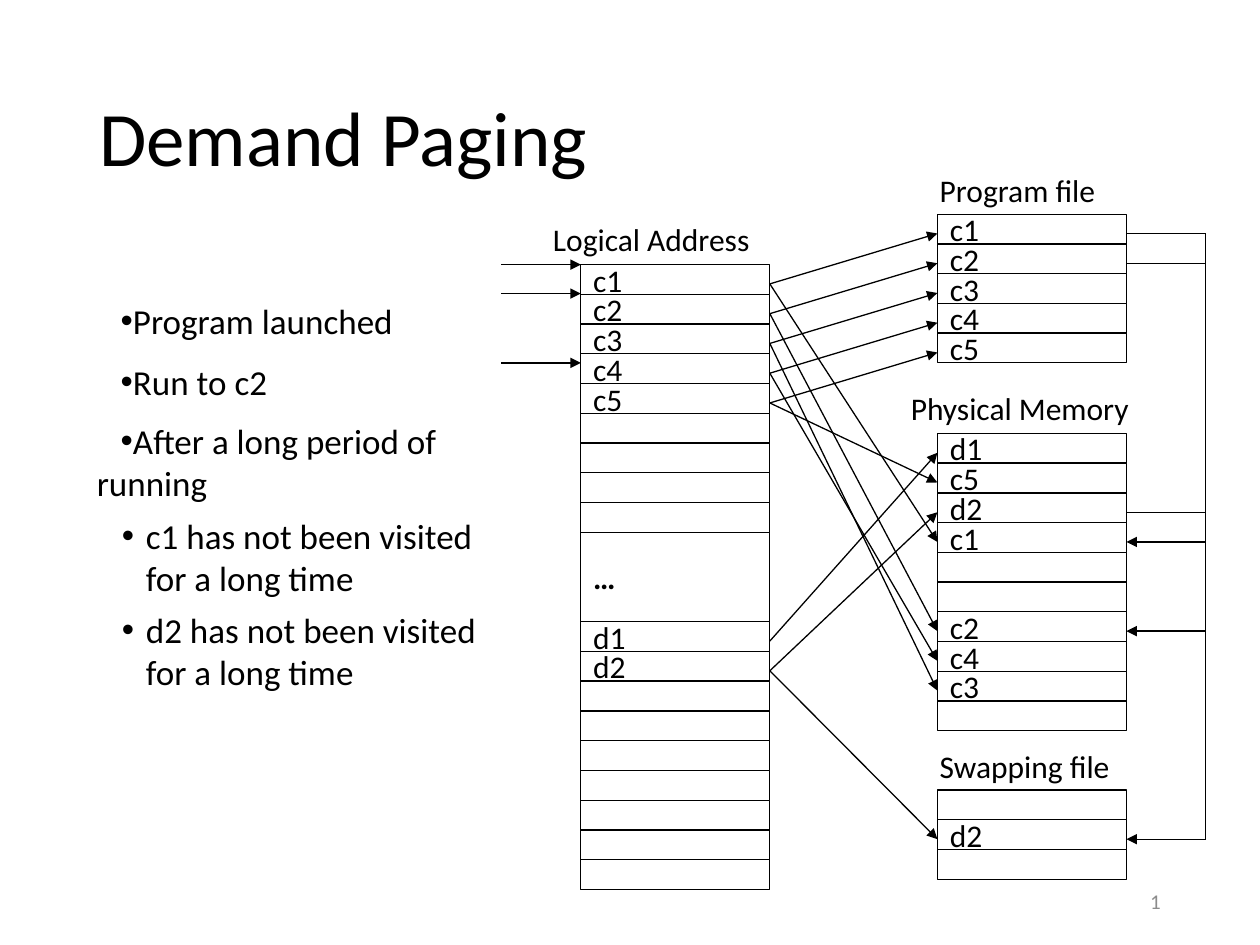
from dataclasses import dataclass

from lxml import etree
from pptx import Presentation
from pptx import util as u
from pptx.dml.color import RGBColor
from pptx.enum import shapes, text
from pptx.oxml.ns import qn


@dataclass(frozen=True)
class Theme:
    font: str = "Calibri"
    ink: RGBColor = RGBColor(0, 0, 0)
    paper: RGBColor = RGBColor(255, 255, 255)
    muted: RGBColor = RGBColor(0x8C, 0x8C, 0x8C)
    title: int = 44
    body: int = 20
    label: int = 18
    number: int = 12
    stroke: float = 0.75


THEME = Theme()
LINK_LEVEL = 0.65  # how far down a row its links attach
BUS_X = 9.57


def apply(target, values):
    for name, value in values.items():
        setattr(target, name, value)


def inches(*lengths):
    return [u.Inches(length) for length in lengths]


def write(para, words, size, color=THEME.ink, bold=False):
    span = para.add_run()
    span.text = words
    apply(span.font, {"name": THEME.font, "size": u.Pt(size), "bold": bold})
    span.font.color.rgb = color


def add_text(page, box, words, size, color=THEME.ink, anchor=text.MSO_ANCHOR.TOP, **para_format):
    frame = page.shapes.add_textbox(*inches(*box)).text_frame
    apply(frame, {"word_wrap": True, "vertical_anchor": anchor})
    para = frame.paragraphs[0]
    apply(para, para_format)
    write(para, words, size, color)


def add_bullets(page, box, items):
    """Write (level, words) items; level 0 has a first-line indent, level 1 a hanging one."""
    indents = [(0, 0.19), (0.39, -0.19)]
    frame = page.shapes.add_textbox(*inches(*box)).text_frame
    frame.word_wrap = True
    for index, (level, words) in enumerate(items):
        para = frame.add_paragraph() if index else frame.paragraphs[0]
        apply(para, {"level": level, "space_before": u.Pt(6)})
        props = para._p.get_or_add_pPr()
        for name, length in zip(("marL", "indent"), indents[level]):
            props.set(name, str(u.Inches(length)))
        etree.SubElement(props, qn("a:buFont")).set("typeface", "Arial")
        etree.SubElement(props, qn("a:buChar")).set("char", "•")
        write(para, words, THEME.body)


def add_line(page, start, end, arrow=True):
    line = page.shapes.add_connector(shapes.MSO_CONNECTOR.STRAIGHT, *inches(*start, *end))
    line.line.width = u.Pt(THEME.stroke)
    line.line.color.rgb = THEME.ink
    if arrow:
        etree.SubElement(line.line._get_or_add_ln(), qn("a:tailEnd")).set("type", "triangle")
    etree.SubElement(line._element.spPr, qn("a:effectLst"))


def add_cell(page, box, words):
    cell = page.shapes.add_shape(shapes.MSO_SHAPE.RECTANGLE, *inches(*box))
    cell.shadow.inherit = False
    cell.fill.solid()
    cell.fill.fore_color.rgb = THEME.paper
    cell.line.color.rgb = THEME.ink
    cell.line.width = u.Pt(THEME.stroke)
    if words:
        frame = cell.text_frame
        apply(frame, {"word_wrap": False, "vertical_anchor": text.MSO_ANCHOR.MIDDLE})
        frame.paragraphs[0].alignment = text.PP_ALIGN.LEFT
        write(frame.paragraphs[0], words, THEME.label, bold=words == "…")


def add_stack(page, box, labels, caption, caption_box):
    """Fill the box with rows, the ellipsis three rows tall; return link heights by label."""
    left, top, width, height = box
    spans = [3 if label == "…" else 1 for label in labels]
    row = height / sum(spans)
    links = {}
    for label, span in zip(labels, spans):
        add_cell(page, (left, top, width, row * span), label)
        if label:
            links[label] = top + row * LINK_LEVEL
        top += row * span
    add_text(page, caption_box, caption, THEME.label)
    return links


def add_loop(page, x, start_y, end_y):
    """Lead from x out to the bus and back, with an arrowhead at the end."""
    add_line(page, (x, start_y), (BUS_X, start_y), arrow=False)
    add_line(page, (BUS_X, start_y), (BUS_X, end_y), arrow=False)
    add_line(page, (BUS_X, end_y), (x, end_y))


def add_notes_column(page, left, width):
    add_bullets(page, (left, 2.33, width, 0.44), [(0, "Program launched")])
    add_bullets(page, (left, 2.81, width, 0.44), [(0, "Run to c2")])
    add_bullets(page, (left, 3.28, width, 2.29), [
        (0, "After a long period of running"),
        (1, "c1 has not been visited for a long time"),
        (1, "d2 has not been visited for a long time"),
    ])


def add_diagram(page, logical_x, store_x, width):
    code = ["c1", "c2", "c3", "c4", "c5"]
    logical = add_stack(page, (logical_x, 2.1, width, 4.96),
                        code + [""] * 4 + ["…", "d1", "d2"] + [""] * 7,
                        "Logical Address", (4.29, 1.7, 2.12, 0.4))
    program = add_stack(page, (store_x, 1.7, width, 1.18), code,
                        "Program file", (7.36, 1.31, 1.65, 0.4))
    memory = add_stack(page, (store_x, 3.44, width, 2.36),
                       ["d1", "c5", "d2", "c1", "", "", "c2", "c4", "c3", ""],
                       "Physical Memory", (7.13, 3.04, 2.12, 0.4))
    swap = add_stack(page, (store_x, 6.27, width, 0.71), ["", "d2", ""],
                     "Swapping file", (7.36, 5.88, 1.65, 0.4))

    for store in (program, memory, swap):
        for label, y in store.items():
            add_line(page, (logical_x + width, logical[label]), (store_x, y))
    for start_y, end_y in ((program["c1"], memory["c1"]),
                           (program["c2"], memory["c2"]),
                           (memory["d2"], swap["d2"])):
        add_loop(page, store_x + width, start_y, end_y)
    for y in (2.1, 2.33, 2.88):
        add_line(page, (3.98, y), (logical_x, y))


def main():
    deck = Presentation()
    apply(deck, {"slide_width": u.Inches(10), "slide_height": u.Inches(7.5)})
    page = deck.slides.add_slide(deck.slide_layouts[6])
    middle = text.MSO_ANCHOR.MIDDLE
    add_text(page, (0.69, 0.4, 8.62, 1.45), "Demand Paging", THEME.title,
             anchor=middle, line_spacing=0.9)
    add_text(page, (7.06, 6.95, 2.25, 0.4), "1", THEME.number, THEME.muted,
             anchor=middle, alignment=text.PP_ALIGN.RIGHT)
    add_notes_column(page, 0.67, 3.47)
    add_diagram(page, 4.61, 7.44, 1.5)
    deck.save("out.pptx")


if __name__ == "__main__":
    main()
